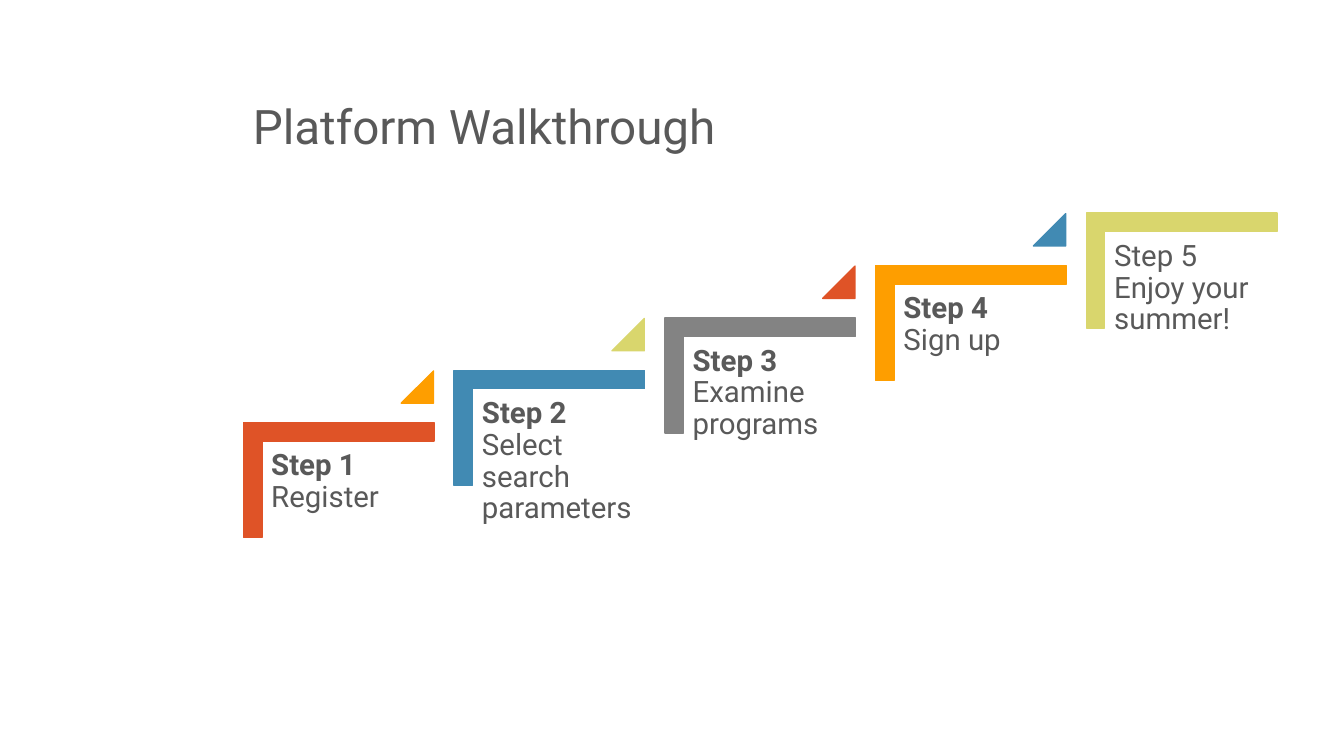
from pptx import Presentation
from pptx.dml.color import RGBColor
from pptx.enum.shapes import MSO_SHAPE as Shape
from pptx.enum.text import MSO_ANCHOR as Anchor
from pptx.util import Inches, Pt

RED = RGBColor(0xDF, 0x53, 0x27)
BLUE = RGBColor(0x41, 0x8A, 0xB3)
GRAY = RGBColor(0x83, 0x83, 0x83)
GOLD = RGBColor(0xFE, 0x9E, 0x00)
LIME = RGBColor(0xD9, 0xD6, 0x6D)
INK = RGBColor(0x59, 0x59, 0x59)

# Step name, task, bold name, corner colour, colour of the triangle after it
STEPS = [
    ("Step 1", "Register", True, RED, GOLD),
    ("Step 2", "Select search parameters", True, BLUE, LIME),
    ("Step 3", "Examine programs", True, GRAY, RED),
    ("Step 4", "Sign up", True, GOLD, BLUE),
    ("Step 5", "Enjoy your summer!", False, LIME, None),
]
RUN, RISE = 2.09, 0.52

prs = Presentation()
prs.slide_width, prs.slide_height = Inches(13.33), Inches(7.5)
slide = prs.slides.add_slide(prs.slide_layouts[6])


def add_mark(kind, box, color, adjust):
    mark = slide.shapes.add_shape(kind, *map(Inches, box))
    mark.shadow.inherit = False
    mark.fill.solid()
    mark.fill.fore_color.rgb = mark.line.color.rgb = color
    mark.line.width = Pt(1)
    for i, value in enumerate(adjust):
        mark.adjustments[i] = value
    return mark


def add_text(box, parts, size, inset, anchor):
    frame = slide.shapes.add_textbox(*map(Inches, box)).text_frame
    form = {"word_wrap": True, "vertical_anchor": anchor}
    for side in ("left", "right", "top", "bottom"):
        form[f"margin_{side}"] = Inches(inset)
    for key, value in form.items():
        setattr(frame, key, value)
    para = frame.paragraphs[0]
    para.line_spacing = 0.9
    for i, (words, bold) in enumerate(parts):
        if i:
            para.add_line_break()
        run = para.add_run()
        run.text = words
        style = {"name": "Roboto", "size": Pt(size), "bold": bold}
        for key, value in style.items():
            setattr(run.font, key, value)
        run.font.color.rgb = INK


# Title
add_text((2.41, 0.33, 10.25, 1.31), [("Platform Walkthrough", False)],
         34, 0.1, Anchor.BOTTOM)

# Stairs, climbing to the right
for i, (name, task, bold, color, next_color) in enumerate(STEPS):
    x, y = 2.79 + i * RUN, 3.82 - i * RISE
    corner = add_mark(Shape.CORNER, (x, y, 1.14, 1.89), color, (0.16, 0.16))
    corner.rotation = 90
    add_text((x - 0.19, y + 0.56, 1.71, 1.5), [(name, bold), (task, False)],
             21, 0.09, Anchor.TOP)
    if next_color:
        add_mark(Shape.ISOSCELES_TRIANGLE, (x + 1.19, y - 0.14, 0.32, 0.32),
                 next_color, (1,))

prs.save("out.pptx")
